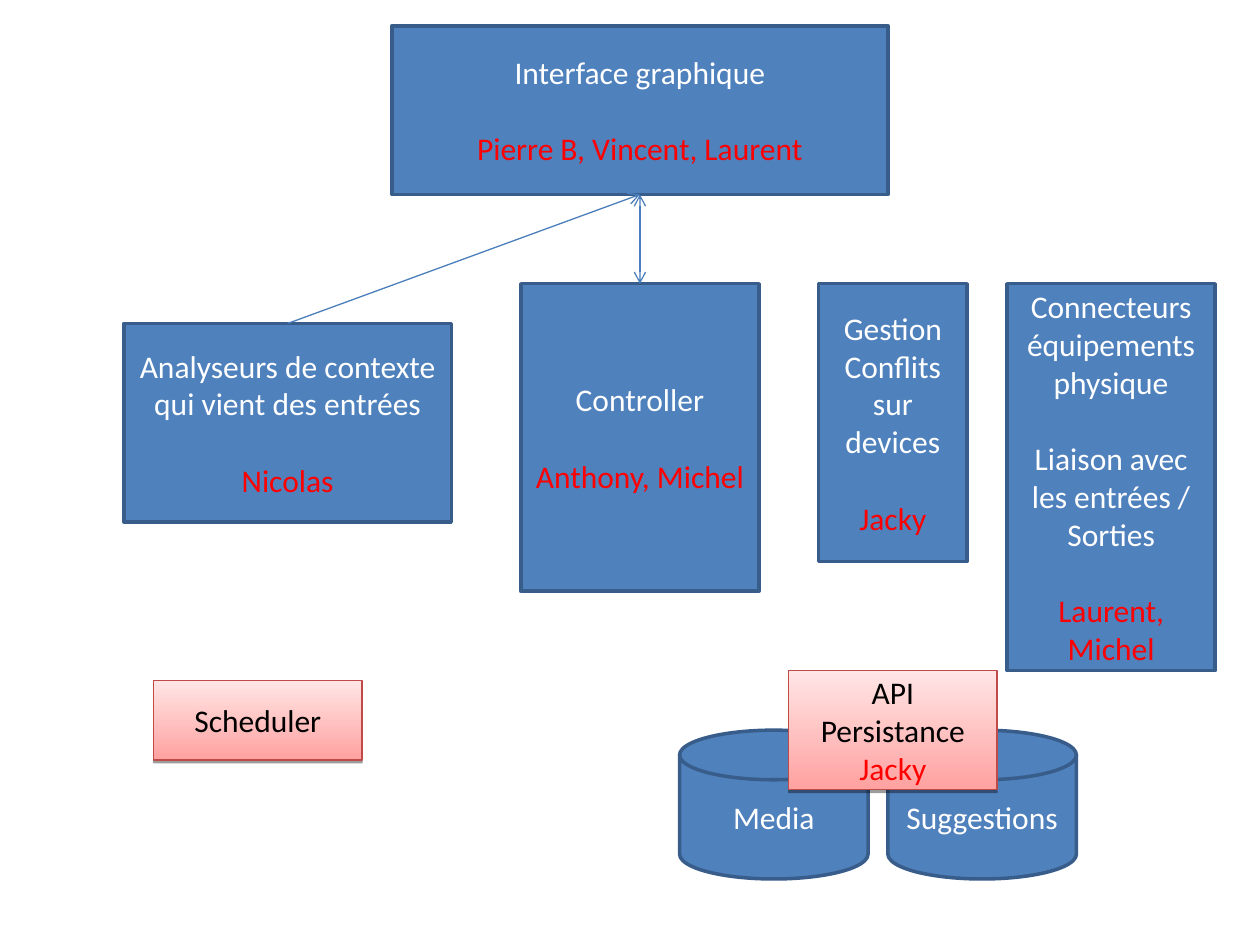
from lxml.etree import SubElement
from pptx import Presentation
from pptx.dml.color import RGBColor
from pptx.enum.shapes import MSO_CONNECTOR, MSO_SHAPE
from pptx.enum.text import MSO_ANCHOR, PP_ALIGN
from pptx.oxml.ns import qn
from pptx.util import Inches, Mm, Pt

WHITE = RGBColor(0xFF, 0xFF, 0xFF)
BLACK = RGBColor(0x00, 0x00, 0x00)
RED = RGBColor(0xFF, 0x00, 0x00)
BLUE = RGBColor(0x4F, 0x81, 0xBD)
BLUE_EDGE = RGBColor(0x38, 0x5D, 0x8A)
BLUE_LINE = RGBColor(0x4A, 0x7E, 0xBB)
PINK_DARK = RGBColor(0xFF, 0xA2, 0xA1)
PINK_LIGHT = RGBColor(0xFF, 0xE5, 0xE5)
PINK_EDGE = RGBColor(0xBE, 0x4B, 0x48)

FONT, SIZE = "Calibri", Pt(18)
LINE_GAP = Pt(22)  # one text line

# Square grid: 2 mm cells, counted from a small origin offset
CELL, ORIGIN_X, ORIGIN_Y = 2, 0.5, 0.6

# Back to front: name, kind, (column, row, columns, rows), texts, people
PARTS = [
    ("media", "store", (68, 73, 19, 15), ["Media"], ""),
    ("conflicts", "module", (82, 28, 15, 28),
     ["Gestion Conflits sur devices"], "Jacky"),
    ("connectors", "module", (101, 28, 21, 39),
     ["Connecteurs équipements physique",
      "Liaison avec les entrées / Sorties"], "Laurent, Michel"),
    ("analysers", "module", (12, 32, 33, 20),
     ["Analyseurs de contexte qui vient des entrées"], "Nicolas"),
    ("suggestions", "store", (89, 73, 19, 15), ["Suggestions"], ""),
    ("persistence", "service", (79, 67, 21, 12), ["API Persistance"], "Jacky"),
    ("interface", "module", (39, 2, 50, 17),
     ["Interface graphique"], "Pierre B, Vincent, Laurent"),
    ("controller", "module", (52, 28, 24, 31),
     ["Controller"], "Anthony, Michel"),
    ("scheduler", "service", (15, 68, 21, 8), ["Scheduler"], ""),
]

# From the top of one part to the bottom of another, with arrow ends
LINKS = [
    ("analysers", "interface", ["tailEnd"]),
    ("controller", "interface", ["headEnd", "tailEnd"]),
]
TOP, BOTTOM = 0, 2  # connection sites of a rectangle


def add_shadow(s):
    effects = s._element.spPr.find(qn("a:effectLst"))
    shadow = SubElement(effects, qn("a:outerShdw"), blurRad="0",
                        dist=str(Pt(1.6)), dir="5400000", rotWithShape="0")
    color = SubElement(shadow, qn("a:srgbClr"), val=str(BLACK))
    SubElement(color, qn("a:alpha"), val="38000")


def paint(s, kind):
    s.shadow.inherit = False
    if kind == "service":
        s.fill.gradient()
        s.fill.gradient_angle = 90
        for stop, color in zip(s.fill.gradient_stops, (PINK_DARK, PINK_LIGHT)):
            stop.color.rgb = color
        s.line.color.rgb, s.line.width = PINK_EDGE, Pt(0.75)
        add_shadow(s)
    else:
        s.fill.solid()
        s.fill.fore_color.rgb = BLUE
        s.line.color.rgb, s.line.width = BLUE_EDGE, Pt(2)


def write(s, texts, people, color, gap):
    tf = s.text_frame
    tf.word_wrap = True
    tf.vertical_anchor = MSO_ANCHOR.MIDDLE
    lines = [(text, color) for text in texts]
    if people:
        lines.append((people, RED))
    tf.text = "\n".join(text for text, _ in lines)
    for i, (p, (_, ink)) in enumerate(zip(tf.paragraphs, lines)):
        p.alignment = PP_ALIGN.CENTER
        p.space_before = gap if i else Pt(0)
        font = p.runs[0].font
        font.name, font.size, font.color.rgb = FONT, SIZE, ink


prs = Presentation()
prs.slide_width, prs.slide_height = Inches(10), Inches(7.5)
slide = prs.slides.add_slide(prs.slide_layouts[6])

# Modules, services and data stores
shapes = {}
for name, kind, (col, row, cols, rows), texts, people in PARTS:
    preset = (MSO_SHAPE.FLOWCHART_MAGNETIC_DISK if kind == "store"
              else MSO_SHAPE.RECTANGLE)
    s = slide.shapes.add_shape(
        preset, Mm((col + ORIGIN_X) * CELL), Mm((row + ORIGIN_Y) * CELL),
        Mm(cols * CELL), Mm(rows * CELL))
    paint(s, kind)
    is_service = kind == "service"
    write(s, texts, people, BLACK if is_service else WHITE,
          Pt(0) if is_service else LINE_GAP)
    shapes[name] = s

# Arrows up to the interface
for start, end, arrow_ends in LINKS:
    link = slide.shapes.add_connector(MSO_CONNECTOR.STRAIGHT, 0, 0, 0, 0)
    link.begin_connect(shapes[start], TOP)
    link.end_connect(shapes[end], BOTTOM)
    link.line.color.rgb, link.line.width = BLUE_LINE, Pt(0.75)
    spPr = link._element.spPr
    for arrow_end in arrow_ends:
        SubElement(spPr.find(qn("a:ln")), qn(f"a:{arrow_end}"), type="arrow")
    SubElement(spPr, qn("a:effectLst"))

prs.save("out.pptx")
